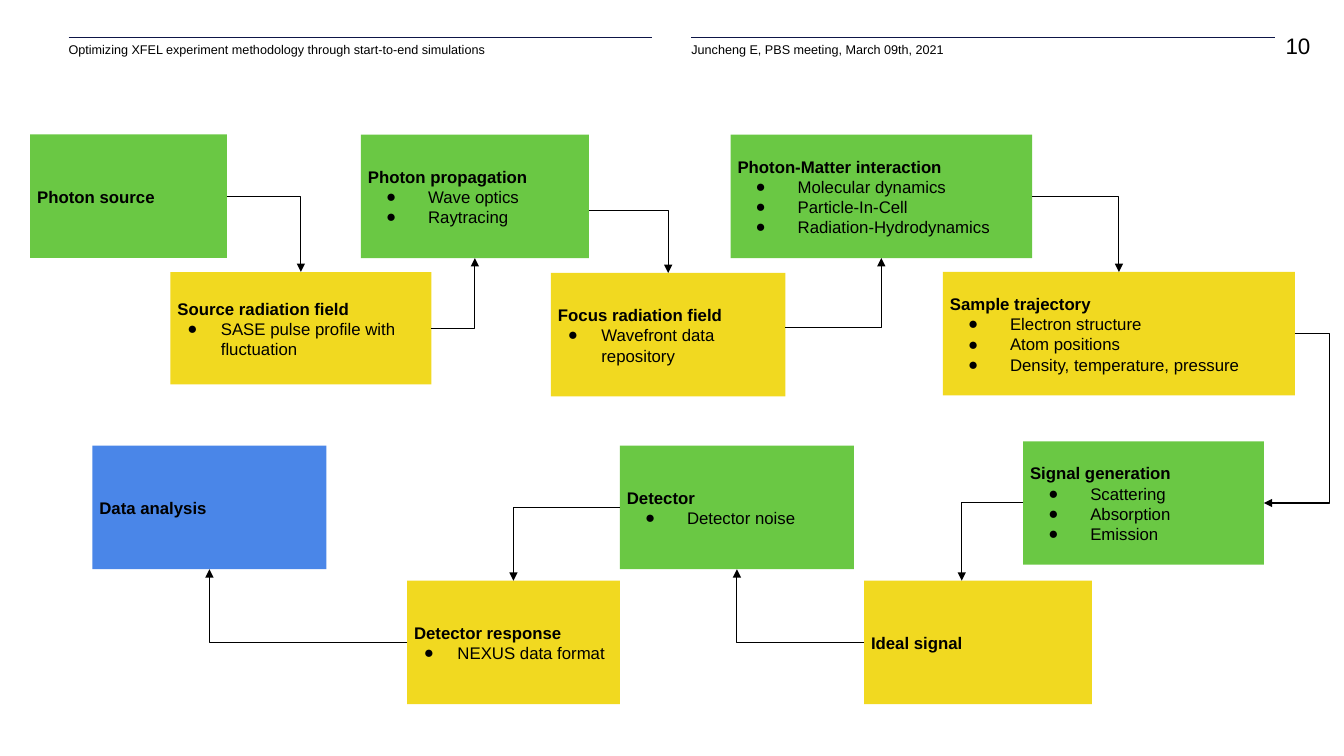
"""Build the slide showing the start-to-end simulation workflow."""
from dataclasses import dataclass
from enum import IntEnum

from lxml.etree import SubElement
from pptx import Presentation
from pptx.dml.color import RGBColor as Color
from pptx.enum.shapes import MSO_CONNECTOR as Connector, MSO_SHAPE as Preset
from pptx.enum.text import MSO_ANCHOR as Anchor, PP_ALIGN as Align
from pptx.oxml.ns import qn
from pptx.util import Pt


@dataclass(frozen=True)
class Theme:
    """Colours, type sizes and line width."""
    font: str = "Arial"
    text: str = "000000"
    rule: str = "0D1546"
    process: str = "6AC844"
    data: str = "F1D920"
    analysis: str = "4A86E8"
    header_size: float = 9
    body_size: float = 12
    number_size: float = 16
    line_width: float = 0.75


THEME = Theme()


class Site(IntEnum):
    """Connection sites of a rectangle."""
    TOP = 0
    LEFT = 1
    BOTTOM = 2
    RIGHT = 3


@dataclass(frozen=True)
class Label:
    """A plain line of text in the page header."""
    text: str
    left: float
    top: float
    width: float
    height: float
    size: float = THEME.header_size
    align: Align = Align.LEFT


@dataclass(frozen=True)
class Stage:
    """A workflow box with a heading and bullets."""
    title: str
    fill: str
    left: float
    top: float
    width: float
    items: tuple[str, ...] = ()
    compact: bool = False
    height: float = 88.2

    def site(self, site: Site) -> tuple[float, float]:
        """Return the point of a connection site."""
        across = {Site.LEFT: 0, Site.RIGHT: 1}.get(site, 0.5)
        down = {Site.TOP: 0, Site.BOTTOM: 1}.get(site, 0.5)
        return self.left + across * self.width, self.top + down * self.height


@dataclass(frozen=True)
class Link:
    """An arrow between two stages, with shifts along their edges."""
    source: str
    leave: Site
    target: str
    enter: Site
    start_shift: float = 0
    end_shift: float = 0
    detour: float = 0


RULES = ((49, 465.8), (493.9, 910.8))
RULE_TOP = 26.8
LABELS = (
    Label("10", 895.7, 23, 40.3, 23, THEME.number_size, Align.RIGHT),
    Label("Optimizing XFEL experiment methodology through start-to-end simulations",
          49, 30.2, 416.8, 17.3),
    Label("Juncheng E, PBS meeting, March 09th, 2021", 493.9, 30.2, 416.8, 17.3),
)
STAGES = (
    Stage("Photon source", THEME.process, 21.6, 96, 140.4),
    Stage("Photon propagation", THEME.process, 257.8, 96.2, 162.8,
          ("Wave optics", "Raytracing")),
    Stage("Photon-Matter interaction", THEME.process, 521.8, 96.2, 215.4,
          ("Molecular dynamics", "Particle-In-Cell", "Radiation-Hydrodynamics")),
    Stage("Detector", THEME.process, 442.8, 318.4, 167.2, ("Detector noise",)),
    Stage("Signal generation", THEME.process, 730.8, 315.2, 172,
          ("Scattering", "Absorption", "Emission")),
    Stage("Source radiation field", THEME.data, 121.8, 194.3, 186.3,
          ("SASE pulse profile with fluctuation",), True, 80.3),
    Stage("Focus radiation field", THEME.data, 393.6, 195, 167.4,
          ("Wavefront data repository",), True),
    Stage("Sample trajectory", THEME.data, 673.5, 194.3, 251.5,
          ("Electron structure", "Atom positions", "Density, temperature, pressure")),
    Stage("Detector response", THEME.data, 290.8, 414.8, 152,
          ("NEXUS data format",), True),
    Stage("Ideal signal", THEME.data, 617.2, 414.8, 162.8),
    Stage("Data analysis", THEME.analysis, 66, 318.4, 167.2),
)
LINKS = (
    Link("Photon source", Site.RIGHT, "Source radiation field", Site.TOP),
    Link("Source radiation field", Site.RIGHT, "Photon propagation", Site.BOTTOM),
    Link("Photon propagation", Site.RIGHT, "Focus radiation field", Site.TOP, 10.2),
    Link("Focus radiation field", Site.RIGHT, "Photon-Matter interaction", Site.BOTTOM, -5),
    Link("Photon-Matter interaction", Site.RIGHT, "Sample trajectory", Site.TOP),
    Link("Sample trajectory", Site.RIGHT, "Signal generation", Site.RIGHT, detour=25),
    Link("Signal generation", Site.LEFT, "Ideal signal", Site.TOP, end_shift=-11.6),
    Link("Ideal signal", Site.LEFT, "Detector", Site.BOTTOM),
    Link("Detector", Site.LEFT, "Detector response", Site.TOP),
    Link("Detector response", Site.LEFT, "Data analysis", Site.BOTTOM),
)


def style(para, size: float, bold: bool = False) -> None:
    """Format the runs of a paragraph."""
    for span in para.runs:
        span.font.name, span.font.size, span.font.bold = THEME.font, Pt(size), bold
        span.font.color.rgb = Color.from_string(THEME.text)


def set_margins(frame, top: float = 0) -> None:
    """Wrap the text and clear all insets but the top one."""
    frame.word_wrap = True
    frame.margin_left = frame.margin_right = frame.margin_bottom = 0
    frame.margin_top = Pt(top)


def set_indent(para, left: float, hanging: float = 0) -> None:
    """Indent a paragraph, with a round bullet if it hangs."""
    props = para._p.get_or_add_pPr()
    props.set("marL", str(Pt(left)))
    props.set("indent", str(Pt(-hanging)))
    if hanging:
        SubElement(SubElement(props, qn("a:buClr")), qn("a:srgbClr"), val=THEME.text)
        SubElement(props, qn("a:buFont"), typeface=THEME.font)
        SubElement(props, qn("a:buChar"), char="●")


def add_label(page, label: Label) -> None:
    """Add a header text."""
    box = page.shapes.add_textbox(Pt(label.left), Pt(label.top), Pt(label.width), Pt(label.height))
    set_margins(box.text_frame)
    box.text_frame.text = label.text
    para = box.text_frame.paragraphs[0]
    para.alignment = label.align
    style(para, label.size)


def add_stage(page, stage: Stage):
    """Add a workflow box and return its shape."""
    box = page.shapes.add_shape(Preset.RECTANGLE, Pt(stage.left), Pt(stage.top),
                                Pt(stage.width), Pt(stage.height))
    box.shadow.inherit = False
    box.fill.solid()
    box.fill.fore_color.rgb = Color.from_string(stage.fill)
    box.line.fill.background()
    frame = box.text_frame
    set_margins(frame, 0.6)
    frame.vertical_anchor = Anchor.MIDDLE
    frame.text = "\n".join((stage.title, *stage.items))
    for index, para in enumerate(frame.paragraphs):
        if index == 0:
            set_indent(para, 5)
        else:
            set_indent(para, *((36, 24) if stage.compact else (48, 30)))
        para.alignment = Align.LEFT if index and stage.compact else Align.JUSTIFY
        style(para, THEME.body_size, bold=index == 0)
    return box


def add_line(page, kind: Connector, start: tuple[float, float], end: tuple[float, float],
             color: str):
    """Add a thin connector without a shadow."""
    line = page.shapes.add_connector(kind, *map(Pt, (*start, *end)))
    line.line.color.rgb = Color.from_string(color)
    line.line.width = Pt(THEME.line_width)
    SubElement(line._element.spPr, qn("a:effectLst"))
    return line


def add_link(page, link: Link, stages: dict[str, Stage], boxes: dict) -> None:
    """Add an elbow arrow, glued wherever it meets an edge's middle."""
    source, target = stages[link.source], stages[link.target]
    x, y = source.site(link.leave)
    end_x, end_y = target.site(link.enter)
    end_x += link.end_shift
    arrow = add_line(page, Connector.ELBOW, (x, y + link.start_shift), (end_x, end_y), THEME.text)
    geometry = arrow._element.spPr.find(qn("a:prstGeom"))
    if link.detour:
        ratio = round(link.detour / (end_x - x) * 100000)
        SubElement(geometry.find(qn("a:avLst")), qn("a:gd"), name="adj1", fmla=f"val {ratio}")
    else:
        geometry.set("prst", "bentConnector2")
    SubElement(arrow.line._get_or_add_ln(), qn("a:tailEnd"), type="triangle")
    if not link.start_shift:
        arrow.begin_connect(boxes[link.source], link.leave)
    if not link.end_shift:
        arrow.end_connect(boxes[link.target], link.enter)


def main() -> None:
    """Build and save the deck."""
    deck = Presentation()
    deck.slide_width, deck.slide_height = Pt(960), Pt(540)
    page = deck.slides.add_slide(deck.slide_layouts[6])
    for left, right in RULES:
        add_line(page, Connector.STRAIGHT, (left, RULE_TOP), (right, RULE_TOP), THEME.rule)
    for label in LABELS:
        add_label(page, label)
    stages = {stage.title: stage for stage in STAGES}
    boxes = {stage.title: add_stage(page, stage) for stage in STAGES}
    for link in LINKS:
        add_link(page, link, stages, boxes)
    deck.save("out.pptx")


if __name__ == "__main__":
    main()
